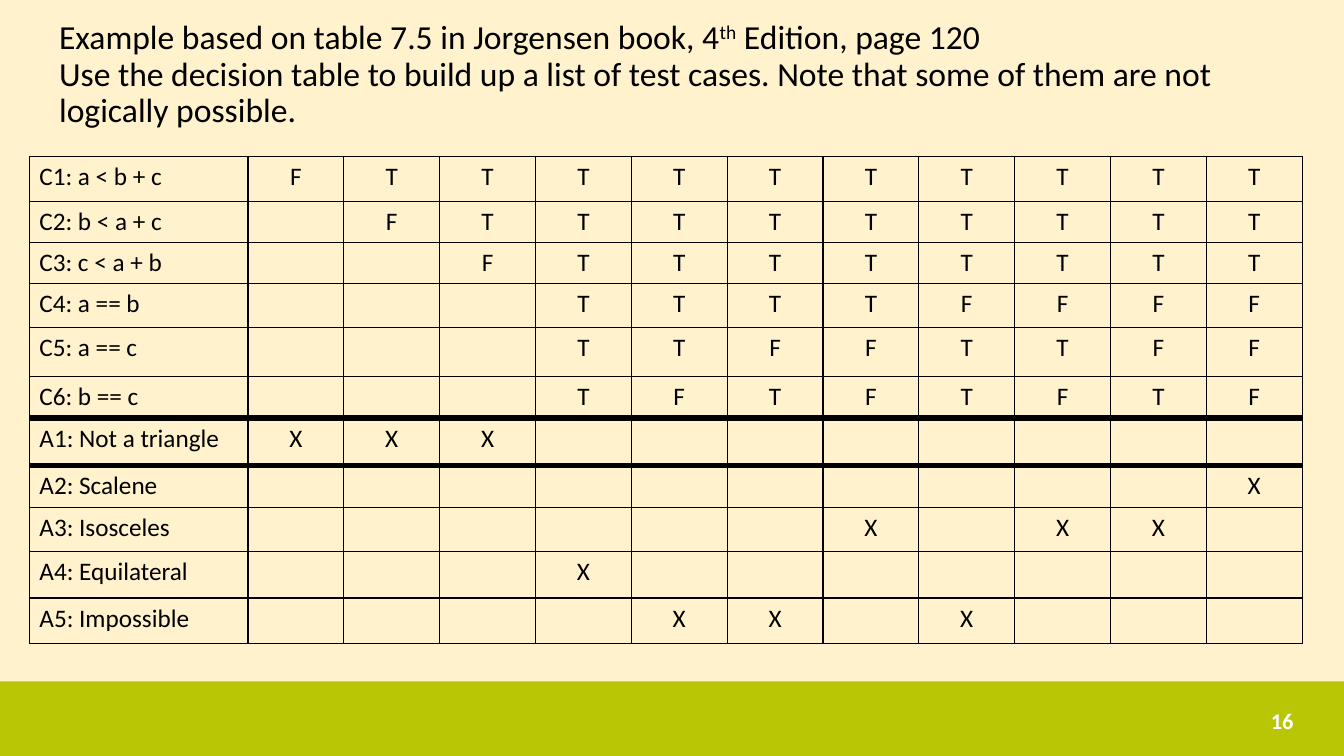
"""Build the triangle decision table slide."""
from dataclasses import dataclass
from typing import Any

import pptx
import pptx.dml.color
import pptx.enum.shapes
import pptx.enum.text
import pptx.oxml
import pptx.oxml.ns
import pptx.util
from pptx.util import Cm

ALIGN = pptx.enum.text.PP_ALIGN


@dataclass(frozen=True)
class Theme:
    """Colours, type sizes and line widths of the slide."""
    paper: str = "FFF2CC"
    band: str = "B8C605"
    ink: str = "000000"
    light: str = "FFFFFF"
    font: str = "Calibri"
    title_size: int = 24
    cell_size: int = 18
    number_size: int = 16
    thin: float = 1
    thick: float = 4.5


@dataclass(frozen=True)
class Rule:
    """A table row: its label, one mark per column, and its height in cm."""
    label: str
    marks: str
    height: float


@dataclass(frozen=True)
class Frame:
    """A position and size in cm."""
    left: float
    top: float
    width: float
    height: float

    def lengths(self) -> tuple:
        """Return the four lengths for python-pptx."""
        return tuple(Cm(n) for n in (self.left, self.top, self.width, self.height))


THEME = Theme()
PAGE = Frame(0, 0, 33.87, 19.05)
BAND = Frame(0, 17.17, 33.87, 1.88)
TITLE = Frame(1.24, 0.69, 31.57, 2.41)
TABLE = Frame(0.74, 3.94, 32.08, 12.26)
NUMBER = Frame(23.93, 17.65, 8.92, 1.02)
LABEL_WIDTH = 5.51

# A dot stands for an empty cell.
RULES = (
    Rule("C1: a < b + c", "FTTTTTTTTTT", 1.14),
    Rule("C2: b < a + c", ".FTTTTTTTTT", 1.03),
    Rule("C3: c < a + b", "..FTTTTTTTT", 1.03),
    Rule("C4: a == b", "...TTTTFFFF", 1.11),
    Rule("C5: a == c", "...TTFFTTFF", 1.24),
    Rule("C6: b == c", "...TFTFTFTF", 1.05),
    Rule("A1: Not a triangle", "XXX........", 1.19),
    Rule("A2: Scalene", "..........X", 1.05),
    Rule("A3: Isosceles", "......X.XX.", 1.12),
    Rule("A4: Equilateral", "...X.......", 1.17),
    Rule("A5: Impossible", "....XX.X...", 1.14),
)
THICK_EDGES = (6, 7)  # the edges above and below row A1


def set_format(target: Any, values: dict) -> None:
    """Set each named attribute on the target."""
    for name, value in values.items():
        setattr(target, name, value)


def add_span(para: Any, text: str, size: int, colour: str, bold: bool = False) -> Any:
    """Append a formatted run and return it."""
    span = para.add_run()
    span.text = text
    set_format(span.font, {"name": THEME.font, "size": pptx.util.Pt(size), "bold": bold})
    span.font.color.rgb = pptx.dml.color.RGBColor.from_string(colour)
    return span


def add_box(page: Any, frame: Frame, align: Any) -> Any:
    """Add a middle-anchored text box and return its paragraph."""
    box = page.shapes.add_textbox(*frame.lengths())
    set_format(box.text_frame, {
        "word_wrap": True,
        "vertical_anchor": pptx.enum.text.MSO_ANCHOR.MIDDLE,
    })
    para = box.text_frame.paragraphs[0]
    para.alignment = align
    return para


def add_band(page: Any) -> None:
    """Draw the green band along the foot."""
    band = page.shapes.add_shape(pptx.enum.shapes.MSO_SHAPE.RECTANGLE, *BAND.lengths())
    band.shadow.inherit = False
    band.fill.solid()
    band.fill.fore_color.rgb = pptx.dml.color.RGBColor.from_string(THEME.band)
    band.line.fill.background()


def add_title(page: Any) -> None:
    """Write the heading with its raised ordinal."""
    para = add_box(page, TITLE, ALIGN.LEFT)
    para.line_spacing = 0.9
    style = (THEME.title_size, THEME.ink)
    add_span(para, "Example based on table 7.5 in Jorgensen book, 4", *style)
    ordinal = add_span(para, "th", *style)
    ordinal.font._element.set("baseline", "30000")
    add_span(para, " Edition, page 120", *style)
    para.add_line_break()
    add_span(para, "Use the decision table to build up a list of test cases. "
                   "Note that some of them are not logically possible.", *style)


def set_borders(cell: Any, row: int) -> None:
    """Draw the four borders of a cell, thick where its row calls for it."""
    def edge_width(edge: int) -> float:
        """Return the width of a horizontal edge."""
        return THEME.thick if edge in THICK_EDGES else THEME.thin

    widths = {"L": THEME.thin, "R": THEME.thin,
              "T": edge_width(row), "B": edge_width(row + 1)}
    properties = cell._tc.get_or_add_tcPr()
    for side, width in widths.items():
        properties.append(pptx.oxml.parse_xml(
            f'<a:ln{side} {pptx.oxml.ns.nsdecls("a")} w="{pptx.util.Pt(width)}">'
            f'<a:solidFill><a:srgbClr val="{THEME.ink}"/></a:solidFill></a:ln{side}>'))


def add_decision_table(page: Any) -> None:
    """Build the table of conditions and actions."""
    mark_count = len(RULES[0].marks)
    table = page.shapes.add_table(len(RULES), mark_count + 1, *TABLE.lengths()).table
    set_format(table, {"first_row": False, "horz_banding": False})
    mark_width = (TABLE.width - LABEL_WIDTH) / mark_count
    for index, column in enumerate(table.columns):
        column.width = Cm(mark_width if index else LABEL_WIDTH)
    for row, rule in enumerate(RULES):
        table.rows[row].height = Cm(rule.height)
        for column, text in enumerate((rule.label, *rule.marks)):
            cell = table.cell(row, column)
            set_borders(cell, row)
            cell.fill.background()
            if text != ".":
                para = cell.text_frame.paragraphs[0]
                para.alignment = ALIGN.CENTER if column else ALIGN.LEFT
                add_span(para, text, THEME.cell_size, THEME.ink)


def main() -> None:
    """Assemble and save the deck."""
    deck = pptx.Presentation()
    set_format(deck, {"slide_width": Cm(PAGE.width), "slide_height": Cm(PAGE.height)})
    page = deck.slides.add_slide(deck.slide_layouts[6])
    page.background.fill.solid()
    page.background.fill.fore_color.rgb = pptx.dml.color.RGBColor.from_string(THEME.paper)
    add_band(page)
    add_title(page)
    add_decision_table(page)
    add_span(add_box(page, NUMBER, ALIGN.RIGHT), "16", THEME.number_size, THEME.light, True)
    deck.save("out.pptx")


main()
